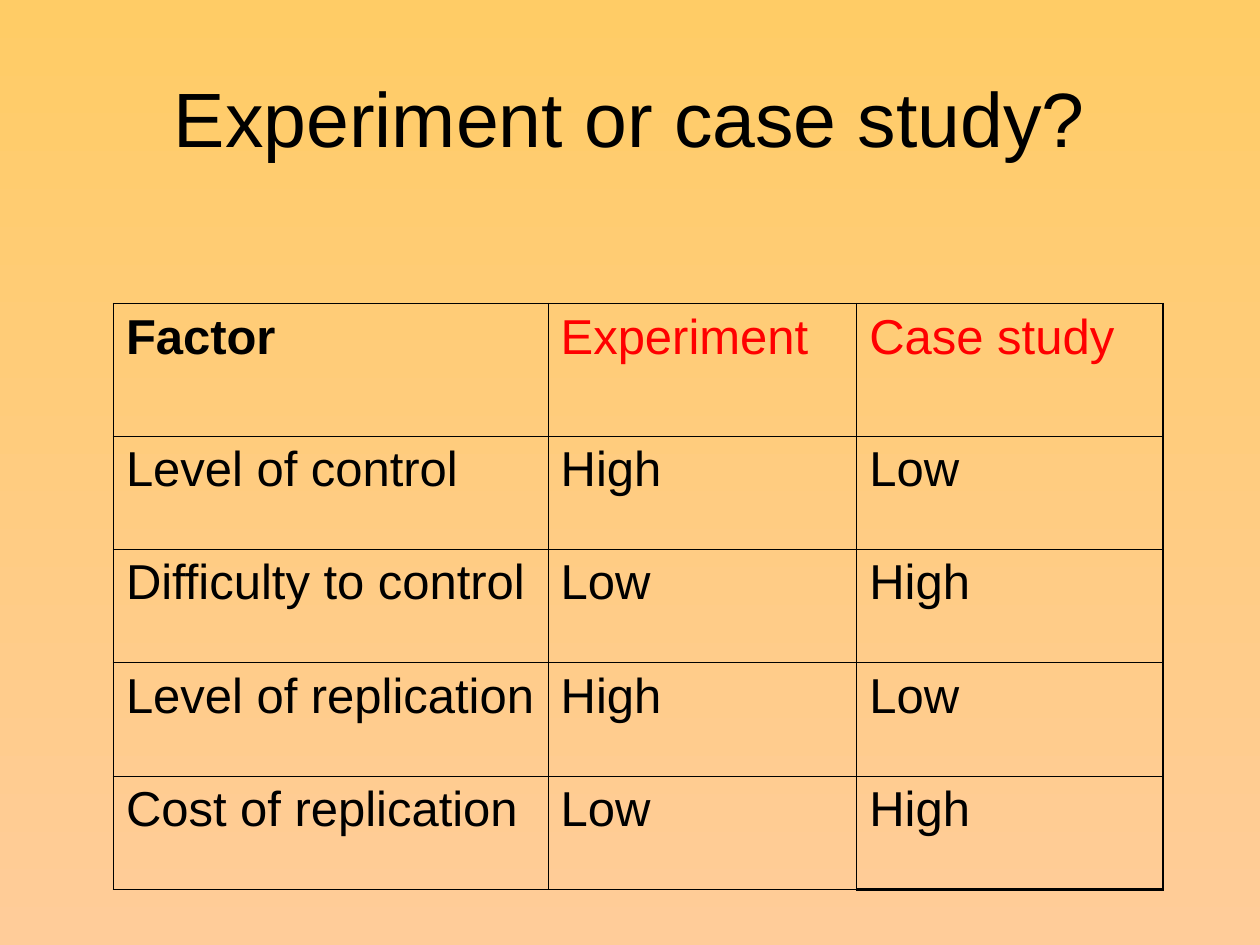
from lxml.etree import SubElement
from pptx import Presentation
from pptx.dml.color import RGBColor as Color
from pptx.enum.text import MSO_ANCHOR as Anchor, PP_ALIGN as Align
from pptx.oxml.ns import qn
from pptx.util import Inches, Pt

WIDTH, HEIGHT = Inches(10), Inches(7.5)
COLORS = {"text": "000000", "accent": "FF0000", "line": "000000",
          "top": "FFCC66", "bottom": "FFCC99"}
TITLE = {"name": "Arial", "size": Pt(44), "bold": False}
BODY = {"name": "Arial", "size": Pt(28), "bold": False}
THIN, OUTER, CORNER = 0.45, 1.08, 1.47

COLUMNS = [3.45, 2.45, 2.43]
ROW_HEIGHTS = [1.05] + [0.9] * 4
ROWS = [
    ["Factor", "Experiment", "Case study"],
    ["Level of control", "High", "Low"],
    ["Difficulty to control", "Low", "High"],
    ["Level of replication", "High", "Low"],
    ["Cost of replication", "Low", "High"],
]


def paint_background(page):
    fill = page.background.fill
    fill.gradient()
    fill.gradient_angle = 270
    for stop, name in zip(fill.gradient_stops, ("top", "bottom")):
        stop.color.rgb = Color.from_string(COLORS[name])


def write(frame, text, style, color="text", align=Align.LEFT):
    para = frame.paragraphs[0]
    para.alignment = align
    span = para.add_run()
    span.text = text
    for key, value in style.items():
        setattr(span.font, key, value)
    span.font.color.rgb = Color.from_string(COLORS[color])


def add_title(page, text):
    box = page.shapes.add_textbox(
        int(WIDTH * 0.05), int(HEIGHT * 0.04), int(WIDTH * 0.9), Inches(1.25))
    frame = box.text_frame
    frame.word_wrap = True
    frame.vertical_anchor = Anchor.MIDDLE
    write(frame, text, TITLE, align=Align.CENTER)


def set_borders(cell, widths):
    """Add the side lines, which must come before the cell's fill."""
    props = cell._tc.get_or_add_tcPr()
    for place, (side, width) in enumerate(widths.items()):
        line = SubElement(props, qn(f"a:ln{side}"), w=str(Pt(width)))
        solid = SubElement(line, qn("a:solidFill"))
        SubElement(solid, qn("a:srgbClr"), val=COLORS["line"])
        props.insert(place, line)


def border_widths(row, column):
    last_row, last_column = row == len(ROWS) - 1, column == len(COLUMNS) - 1
    edge = CORNER if last_row and last_column else OUTER
    return {"L": THIN if column else OUTER,
            "R": edge if last_column else THIN,
            "T": THIN if row else OUTER,
            "B": edge if last_row else THIN}


def add_factor_table(page):
    table = page.shapes.add_table(
        len(ROWS), len(COLUMNS), Inches(0.9), Inches(2.41),
        Inches(sum(COLUMNS)), Inches(sum(ROW_HEIGHTS))).table
    table.first_row = table.horz_banding = False
    for column, width in zip(table.columns, COLUMNS):
        column.width = Inches(width)
    for row, height in zip(table.rows, ROW_HEIGHTS):
        row.height = Inches(height)

    for r, texts in enumerate(ROWS):
        for c, text in enumerate(texts):
            cell = table.cell(r, c)
            cell.fill.background()
            set_borders(cell, border_widths(r, c))
            # The corner heading is bold, the other headings are red
            style = BODY | {"bold": r == c == 0}
            write(cell.text_frame, text, style,
                  "accent" if r == 0 and c else "text")


def main():
    deck = Presentation()
    deck.slide_width, deck.slide_height = WIDTH, HEIGHT
    page = deck.slides.add_slide(deck.slide_layouts[6])
    paint_background(page)
    add_title(page, "Experiment or case study?")
    add_factor_table(page)
    deck.save("out.pptx")


if __name__ == "__main__":
    main()
